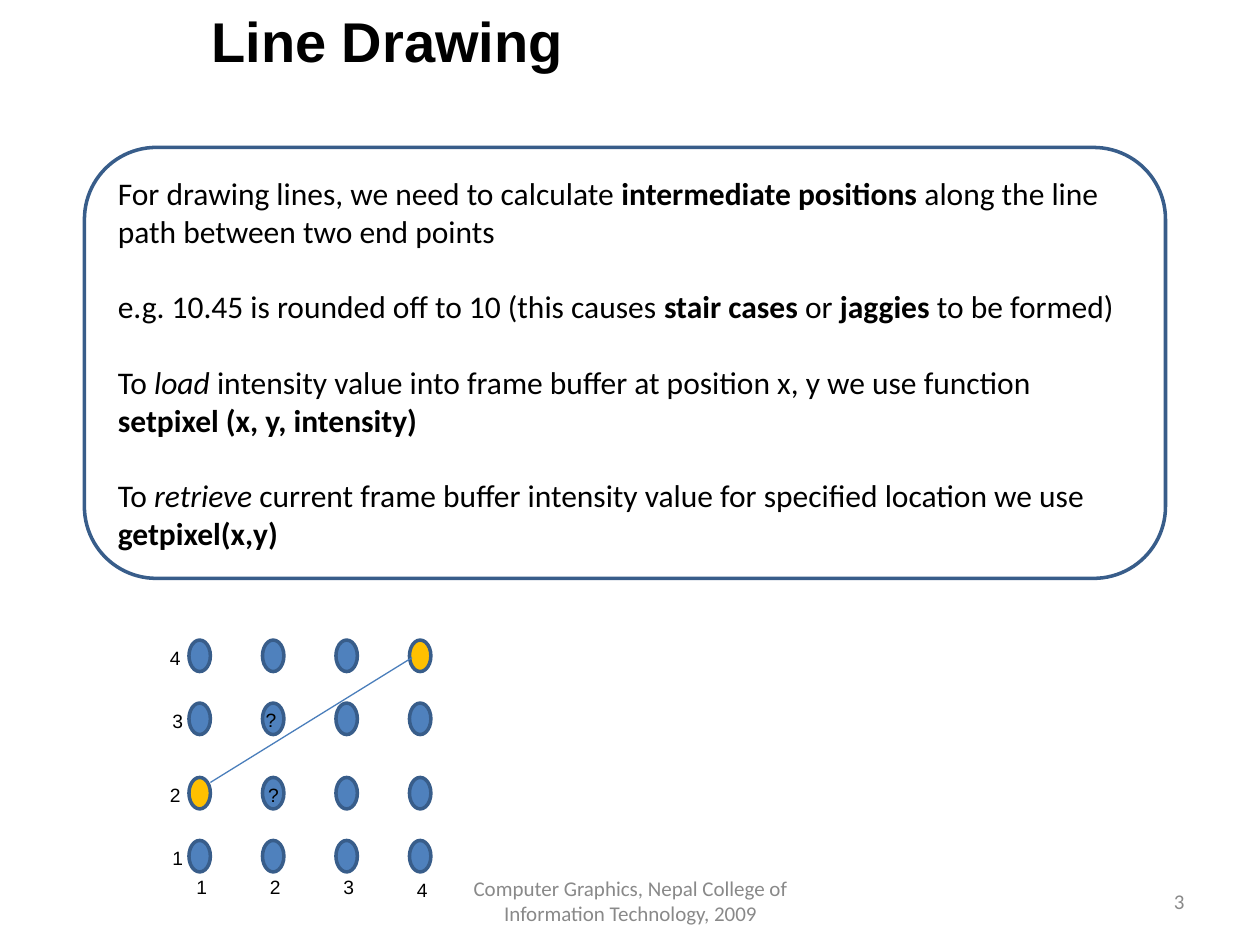
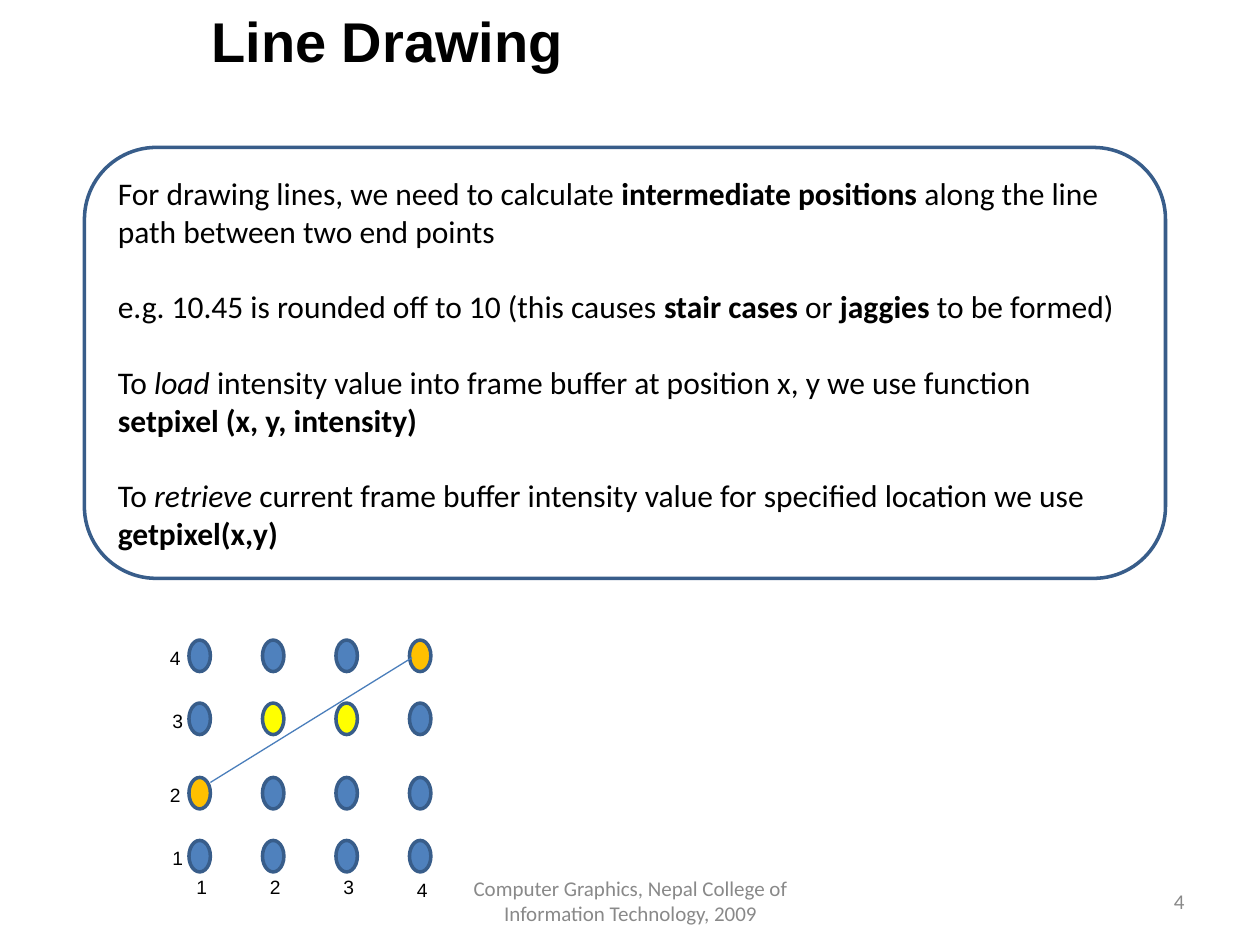
from lxml import etree
from pptx import Presentation
from pptx.dml.color import RGBColor
from pptx.enum.shapes import MSO_CONNECTOR, MSO_SHAPE
from pptx.enum.text import MSO_ANCHOR, PP_ALIGN
from pptx.oxml.ns import qn
from pptx.util import Inches, Pt

LEFT, CENTER, RIGHT = PP_ALIGN.LEFT, PP_ALIGN.CENTER, PP_ALIGN.RIGHT
TOP, MIDDLE = MSO_ANCHOR.TOP, MSO_ANCHOR.MIDDLE
ROUNDED, ELLIPSE = MSO_SHAPE.ROUNDED_RECTANGLE, MSO_SHAPE.OVAL
STRAIGHT = MSO_CONNECTOR.STRAIGHT

BLUE, NAVY, LINE_BLUE = "4F81BD", "385D8A", "4A7EBB"
ORANGE, YELLOW, BLACK, GREY = "FFC000", "FFFF00", "000000", "898989"

TITLE = {"name": "Arial", "size": Pt(32), "bold": True, "color": BLACK}
BODY = {"name": "Calibri", "size": Pt(18), "color": BLACK}
FOOTER = {"name": "Calibri", "size": Pt(12), "color": GREY}
LABEL = {"name": "Arial", "size": Pt(11), "color": BLACK}
BOLD, ITALIC = {"bold": True}, {"italic": True}
BODY_GAP = Pt(21.6)

NOTES = [
    (0, [("For drawing lines, we need to calculate ", {}),
         ("intermediate positions ", BOLD),
         ("along the line path between two end points", {})]),
    (BODY_GAP, [("e.g. 10.45 is rounded off to 10 (this causes ", {}),
                ("stair cases ", BOLD), ("or ", {}), ("jaggies", BOLD),
                (" to be formed)", {})]),
    (BODY_GAP, [("To ", {}), ("load", ITALIC),
                (" intensity value into frame buffer at position x, y we use function", {})]),
    (0, [("setpixel (x, y, intensity)", BOLD)]),
    (BODY_GAP, [("To ", {}), ("retrieve", ITALIC),
                (" current frame buffer intensity value for specified location we use ", {}),
                ("getpixel(x,y)", BOLD)]),
]

COLUMNS = {n: 1.5 + (n - 1) * 1.75 / 3 for n in range(1, 5)}
ROWS = {4: 5.08, 3: 5.58, 2: 6.17, 1: 6.67}
ENDPOINTS = {(1, 2): ORANGE, (4, 4): ORANGE}
CHOSEN = {(2, 3): YELLOW, (3, 3): YELLOW}
CANDIDATES = [(2.01, 5.57), (2.03, 6.17)]


def rgb(value):
    return RGBColor.from_string(value)


class Deck:
    """Holds the presentation, its style and the current slide."""

    def __init__(self):
        self.prs = Presentation()
        self.prs.slide_width, self.prs.slide_height = Inches(10), Inches(7.5)
        self.s = None

    def add_slide(self):
        self.s = self.prs.slides.add_slide(self.prs.slide_layouts[6])

    def run(self, p, text, style):
        r = p.add_run()
        r.text = text
        for key, value in style.items():
            if key == "color":
                r.font.color.rgb = rgb(value)
            else:
                setattr(r.font, key, value)

    def text(self, x, y, w, h, text, style, align=LEFT, anchor=TOP):
        tf = self.s.shapes.add_textbox(
            Inches(x), Inches(y), Inches(w), Inches(h)).text_frame
        tf.word_wrap = True
        tf.vertical_anchor = anchor
        p = tf.paragraphs[0]
        p.alignment = align
        self.run(p, text, style)

    def shape(self, kind, x, y, w, h, fill=None):
        sp = self.s.shapes.add_shape(
            kind, Inches(x), Inches(y), Inches(w), Inches(h))
        sp.shadow.inherit = False
        if fill:
            sp.fill.solid()
            sp.fill.fore_color.rgb = rgb(fill)
        else:
            sp.fill.background()
        sp.line.color.rgb = rgb(NAVY)
        sp.line.width = Pt(2)
        return sp

    def line(self, x1, y1, x2, y2):
        c = self.s.shapes.add_connector(
            STRAIGHT, Inches(x1), Inches(y1), Inches(x2), Inches(y2))
        c.line.color.rgb = rgb(LINE_BLUE)
        c.line.width = Pt(0.75)
        etree.SubElement(c._element.spPr, qn("a:effectLst"))

    def notes(self):
        sp = self.shape(ROUNDED, 0.67, 1.17, 8.58, 3.42)
        tf = sp.text_frame
        tf.word_wrap = True
        tf.vertical_anchor = MIDDLE
        for i, (gap, runs) in enumerate(NOTES):
            p = tf.add_paragraph() if i else tf.paragraphs[0]
            p.alignment = LEFT
            p.space_before = gap
            for text, style in runs:
                self.run(p, text, BODY | style)

    def frame(self, number):
        self.notes()
        self.text(7.17, 6.95, 2.33, 0.4, str(number), FOOTER, RIGHT, MIDDLE)
        self.text(3.42, 6.95, 3.17, 0.4,
                  "Computer Graphics, Nepal College of Information Technology, 2009",
                  FOOTER, CENTER, MIDDLE)
        self.text(1.58, 0, 3.02, 0.94, "Line Drawing", TITLE)

    def label(self, x, y, text):
        self.text(x, y, 0.29, 0.29, text, LABEL)

    def pixel_grid(self, lit):
        for row, y in ROWS.items():
            for column, x in COLUMNS.items():
                self.shape(ELLIPSE, x, y, 0.17, 0.25, lit.get((column, row), BLUE))
            self.label(1.27 if row % 2 else 1.25, y, str(row))
        for column, x in COLUMNS.items():
            self.label(x - 0.04, 6.92 if column == 4 else 6.9, str(column))
        self.line(1.67, 6.21, 3.27, 5.22)


def main():
    deck = Deck()
    slides = [(3, ENDPOINTS, CANDIDATES), (4, ENDPOINTS | CHOSEN, [])]
    for number, lit, candidates in slides:
        deck.add_slide()
        deck.frame(number)
        deck.pixel_grid(lit)
        for x, y in candidates:
            deck.label(x, y, "?")
    deck.prs.save("out.pptx")


if __name__ == "__main__":
    main()
